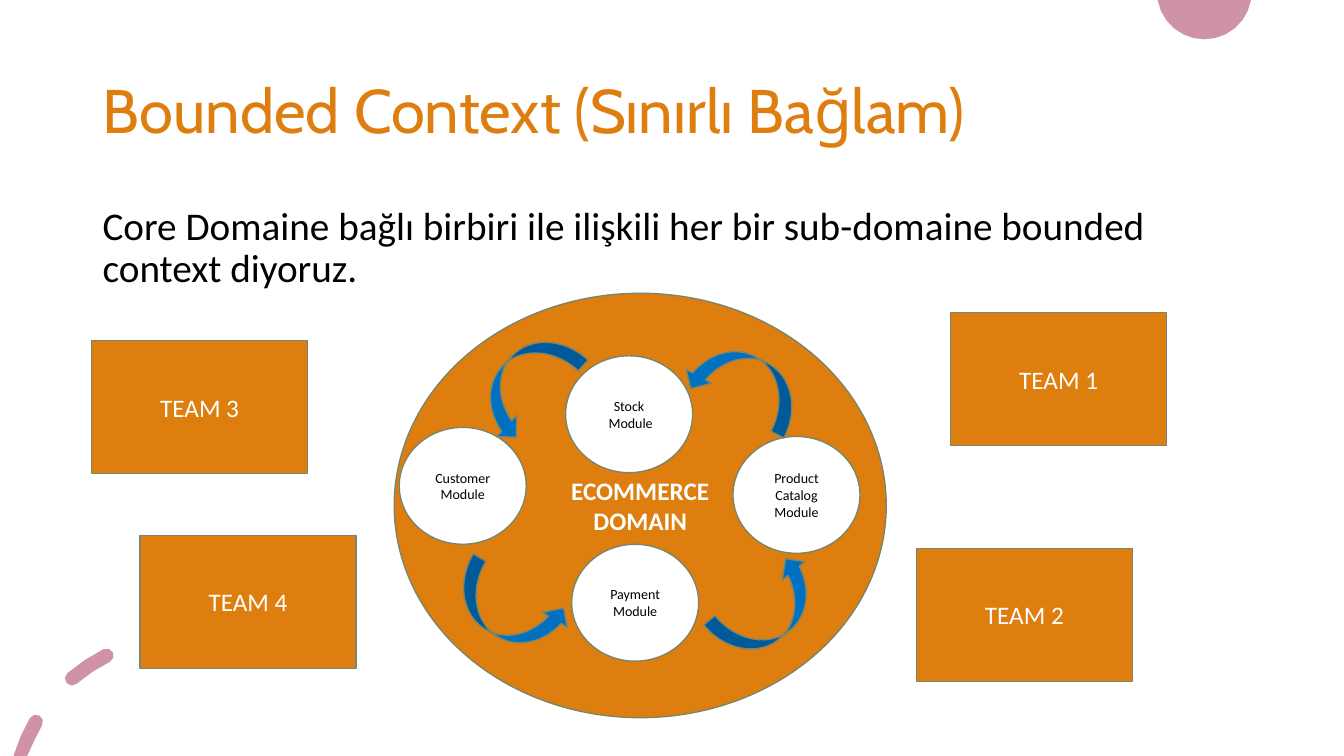
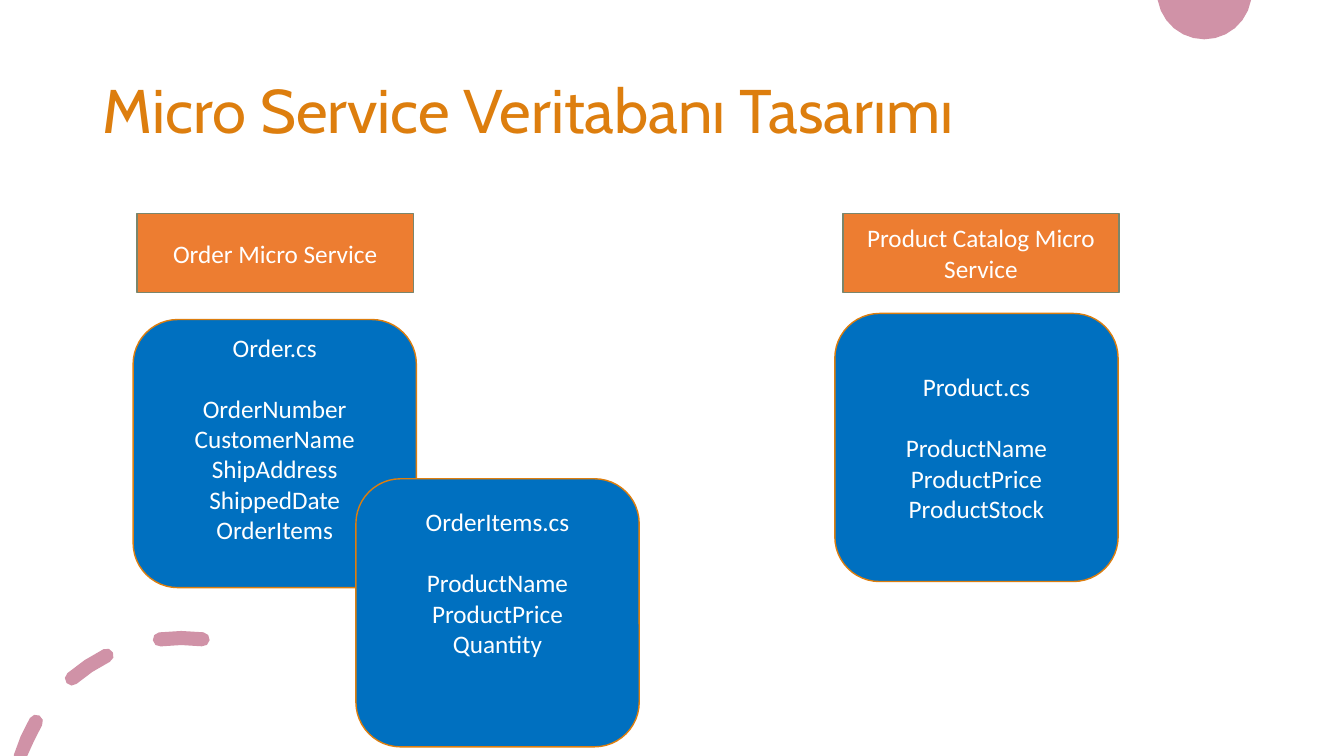
"""Build two slides on bounded contexts and micro service data design."""
import math

import pptx
import pptx.dml.color
import pptx.enum.shapes
import pptx.enum.text
import pptx.util

RGB = pptx.dml.color.RGBColor
Inches = pptx.util.Inches
Pt = pptx.util.Pt
KIND = pptx.enum.shapes.MSO_SHAPE
ALIGN = pptx.enum.text.PP_ALIGN
ANCHOR = pptx.enum.text.MSO_ANCHOR

ORANGE = RGB(0xDD, 0x7E, 0x0E)
AMBER = RGB(0xED, 0x7D, 0x31)
BLUE = RGB(0x00, 0x70, 0xC0)
OLIVE = RGB(0x7A, 0x86, 0x6C)
PINK = RGB(0xD0, 0x92, 0xA7)
WHITE = RGB(0xFF, 0xFF, 0xFF)
BLACK = RGB(0, 0, 0)

WIDE, HIGH = 13.33, 7.5
LINE = 22
INSET = 0.05

TITLES = ["Bounded Context (Sınırlı Bağlam)", "Micro Service Veritabanı Tasarımı"]
INTRO = "Core Domaine bağlı birbiri ile ilişkili her bir sub-domaine bounded context diyoruz."
DOMAIN = "ECOMMERCE\vDOMAIN"
MODULES = [
    ("Customer Module", 3.96, 4.24),
    ("Stock\n Module", 5.61, 3.53),
    ("Payment Module", 5.67, 5.4),
    ("Product Catalog Module", 7.27, 4.33),
]
ARROWS = [(4.46, 5.76, 31), (7.03, 5.76, 321), (4.62, 3.52, 133), (6.79, 3.52, 208)]
TEAMS = [
    ("TEAM 1", 9.43, 3.1),
    ("TEAM 2", 9.09, 5.44),
    ("TEAM 3", 0.91, 3.38),
    ("TEAM 4", 1.39, 5.31),
]
HEADS = [("Order Micro Service", 1.36), ("Product Catalog Micro Service", 8.36)]
CARDS = [
    ("Order.cs", ["OrderNumber", "CustomerName", "ShipAddress", "ShippedDate", "OrderItems"],
     1.32, 3.17, 0.3),
    ("Product.cs", ["ProductName", "ProductPrice", "ProductStock"], 8.28, 3.11, 0),
    ("OrderItems.cs", ["ProductName", "ProductPrice", "Quantity"], 3.53, 4.75, 0.6),
]
DASHES = [(-73, -59.8), (-40.6, -26.4), (-7.4, 7.2)]


def style(frame, size, color, font="Calibri", align=ALIGN.CENTER, bold=False, space=None):
    """Format every paragraph and run of a text frame."""
    frame.word_wrap = True
    for para in frame.paragraphs:
        para.alignment = align
        para.line_spacing = space
        for run in para.runs:
            run.font.size = Pt(size)
            run.font.name = font
            run.font.bold = bold
            run.font.color.rgb = color


def paint(shape, fill, line=None):
    """Give a shape a flat fill and an optional thin outline."""
    shape.shadow.inherit = False
    shape.fill.solid()
    shape.fill.fore_color.rgb = fill
    if line is None:
        shape.line.fill.background()
    else:
        shape.line.color.rgb = line
        shape.line.width = Pt(1)


def add(slide, kind, box, fill, text="", size=18, color=WHITE, line=OLIVE, bold=False):
    """Add a painted preset shape with centred text."""
    shape = slide.shapes.add_shape(kind, *map(Inches, box))
    paint(shape, fill, line)
    if text:
        shape.text_frame.text = text
        shape.text_frame.vertical_anchor = ANCHOR.MIDDLE
        style(shape.text_frame, size, color, bold=bold)
    return shape


def arc(mid, rad, start, stop, steps):
    """Return points along an arc, in degrees clockwise from the top."""
    turns = [math.radians(start + (stop - start) * step / steps) for step in range(steps + 1)]
    return [(mid[0] + rad * math.sin(turn), mid[1] - rad * math.cos(turn)) for turn in turns]


def dash(start, stop):
    """Return the outline of a curved dash with round ends."""
    mid, rad, half = (1.8, 8), 1.67, 0.07
    head = arc(mid, rad, stop, start, 1)[0]
    tail = arc(mid, rad, start, stop, 1)[0]
    return (arc(mid, rad + half, start, stop, 2) + arc(head, half, stop, stop + 180, 4)[1:-1]
            + arc(mid, rad - half, stop, start, 2)
            + arc(tail, half, start + 180, start + 360, 4)[1:-1])


def adorn(deck, slide):
    """Put the pink disc and dashes on the slide master."""
    disc = arc((11.945, -0.08), 0.47, 99.8, 260.2, 12)
    for index, forms in enumerate([[disc], [dash(*span) for span in DASHES]]):
        build = None
        for form in forms:
            spots = [(Inches(x), Inches(min(max(y, 0), HIGH))) for x, y in form]
            if build is None:
                build = slide.shapes.build_freeform(*spots[0])
            else:
                build.move_to(*spots[0])
            build.add_line_segments(spots[1:], close=True)
        shape = build.convert_to_shape()
        paint(shape, PINK)
        shape.element.nvSpPr.cNvPr.id = 20 + index
        deck.slide_master.shapes.element.append(shape.element)


def start(deck, text):
    """Add a slide with its title in place."""
    slide = deck.slides.add_slide(deck.slide_layouts[5])
    title = slide.shapes.title
    title.left, title.top, title.width, title.height = map(Inches, (0.92, 0.4, 11.5, 1.45))
    title.text_frame.text = text
    title.text_frame.auto_size = pptx.enum.text.MSO_AUTO_SIZE.NONE
    title.text_frame.vertical_anchor = ANCHOR.MIDDLE
    style(title.text_frame, 44, ORANGE, "Cabin", ALIGN.LEFT, space=0.9)
    return slide


def context(slide):
    """Draw the domain, its modules and the teams."""
    intro = slide.shapes.add_textbox(*map(Inches, (0.92, 2, 11.5, 4.22)))
    intro.text_frame.text = INTRO
    style(intro.text_frame, 28, BLACK, align=ALIGN.LEFT, space=0.9)
    add(slide, KIND.OVAL, (3.91, 2.91, 4.88, 4.21), ORANGE, DOMAIN, bold=True)
    for text, left, top in MODULES:
        add(slide, KIND.OVAL, (left, top, 1.26, 1.16), WHITE, text, 10, BLACK)
    for left, top, turn in ARROWS:
        arrow = add(slide, KIND.CURVED_UP_ARROW, (left, top, 1.19, 0.58), BLUE)
        arrow.rotation = turn
    for text, left, top in TEAMS:
        add(slide, KIND.RECTANGLE, (left, top, 2.14, 1.32), ORANGE, text)


def design(slide):
    """Draw the services and their class cards."""
    for text, left in HEADS:
        add(slide, KIND.RECTANGLE, (left, 2.12, 2.74, 0.78), AMBER, text)
    for name, fields, left, top, lift in CARDS:
        card = add(slide, KIND.ROUNDED_RECTANGLE, (left, top, 2.81, 2.66), BLUE,
                   "\n".join([name] + fields), line=ORANGE)
        card.text_frame.margin_bottom = Inches(INSET + lift)
        card.text_frame.paragraphs[0].space_after = Pt(LINE)


def main():
    """Build and save the deck."""
    deck = pptx.Presentation()
    deck.slide_width, deck.slide_height = Inches(WIDE), Inches(HIGH)
    first, second = [start(deck, text) for text in TITLES]
    adorn(deck, first)
    context(first)
    design(second)
    deck.save("out.pptx")


if __name__ == "__main__":
    main()
